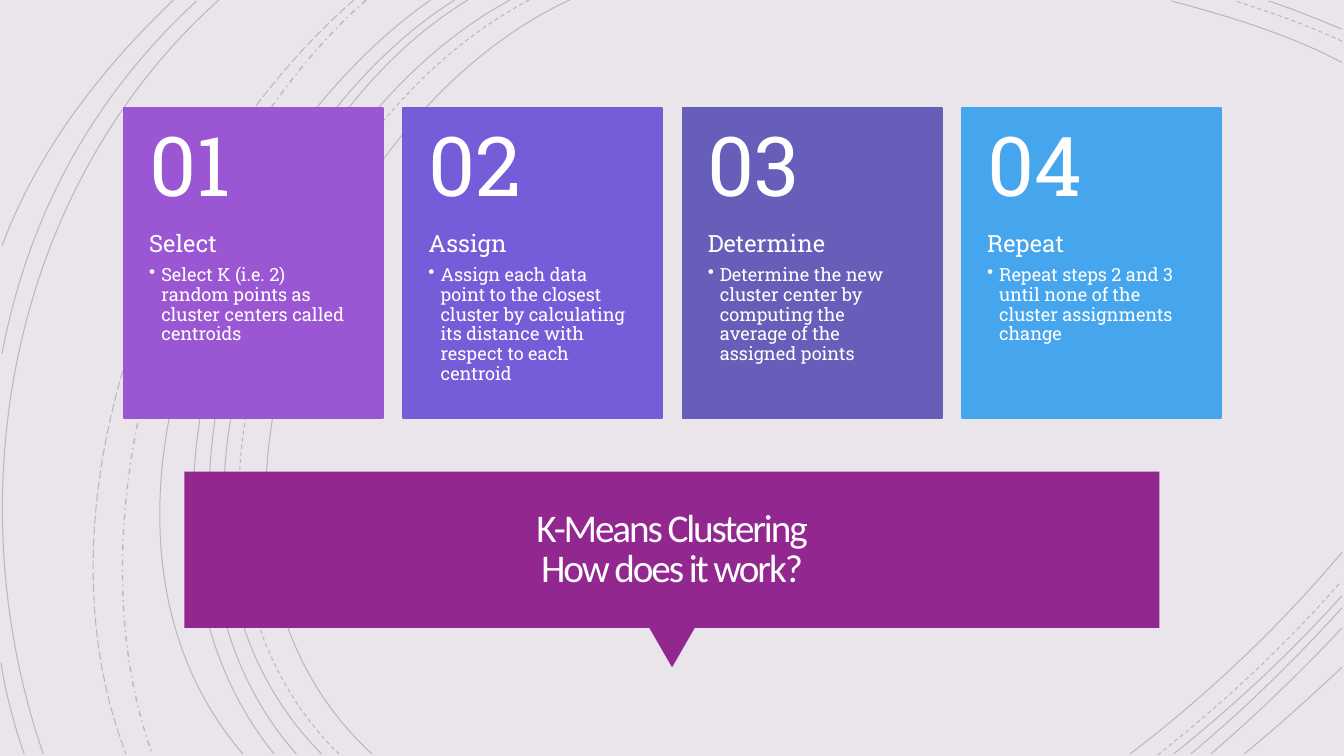
from copy import deepcopy

from lxml import etree
from pptx import Presentation
from pptx.dml.color import RGBColor
from pptx.enum.dml import MSO_LINE
from pptx.enum.shapes import MSO_SHAPE
from pptx.enum.text import MSO_ANCHOR, MSO_AUTO_SIZE, PP_ALIGN
from pptx.oxml.ns import qn
from pptx.util import Inches, Pt

RECTANGLE, TRIANGLE = MSO_SHAPE.RECTANGLE, MSO_SHAPE.ISOSCELES_TRIANGLE
SOLID, DASH = MSO_LINE.SOLID, MSO_LINE.DASH
DASH_DOT, LONG_DASH = MSO_LINE.DASH_DOT, MSO_LINE.LONG_DASH
TOP, MIDDLE = MSO_ANCHOR.TOP, MSO_ANCHOR.MIDDLE
LEFT, CENTER = PP_ALIGN.LEFT, PP_ALIGN.CENTER
NO_AUTOFIT = MSO_AUTO_SIZE.NONE
TITLE_ONLY = 5


def color(hex_value):
    return RGBColor.from_string(hex_value)


def write(box, insets, anchor, lines):
    """Fill a box with (text, paragraph format, font format, font colour) lines."""
    frame = box.text_frame
    frame.word_wrap = True
    frame.auto_size = NO_AUTOFIT
    frame.vertical_anchor = anchor
    for side, inset in zip(("left", "top", "right", "bottom"), insets):
        setattr(frame, f"margin_{side}", Inches(inset))
    for index, (text, para_format, font_format, font_color) in enumerate(lines):
        para = frame.add_paragraph() if index else frame.paragraphs[0]
        para.text = text
        for name, value in para_format.items():
            setattr(para, name, value)
        for span in para.runs:
            for name, value in font_format.items():
                setattr(span.font, name, value)
            span.font.color.rgb = color(font_color)
    return frame


deck = Presentation()
deck.slide_width, deck.slide_height = Inches(13.33), Inches(7.5)
page = deck.slides.add_slide(deck.slide_layouts[TITLE_ONLY])

# Backdrop
backdrop = page.shapes.add_shape(
    RECTANGLE, 0, 0, deck.slide_width, deck.slide_height)
backdrop.shadow.inherit = False
backdrop.line.fill.background()
for fill in (page.background.fill, backdrop.fill):
    fill.solid()
    fill.fore_color.rgb = color("EAE5EB")

# Background arcs: dash, width, then start, two control points and end
arcs = [
    (SOLID, 0.75, (5.65, 0), (3.15, 1.15), (1.43, 5.4), (3.69, 7.48)),
    (SOLID, 0.75, (13.31, 0.62), (12.78, 0.34), (12.18, 0.16), (11.62, 0.01)),
    (SOLID, 0.75, (11.21, 7.48), (11.97, 6.9), (12.69, 6.22), (13.31, 5.48)),
    (DASH, 0.75, (5.25, 0), (2.85, 1.25), (1.23, 5.37), (3.36, 7.48)),
    (DASH, 0.75, (13.31, 0.41), (12.97, 0.25), (12.6, 0.12), (12.25, 0.01)),
    (DASH, 0.75, (11.48, 7.49), (12.13, 6.98), (12.75, 6.4), (13.3, 5.77)),
    (SOLID, 0.75, (5.06, 0), (2.7, 1.27), (1.1, 5.37), (3.19, 7.48)),
    (SOLID, 0.75, (13.31, 0.29), (13.07, 0.19), (12.83, 0.09), (12.58, 0.01)),
    (SOLID, 0.75, (11.64, 7.48), (12.23, 7.01), (12.8, 6.48), (13.31, 5.91)),
    (SOLID, 0.75, (4.64, 0), (2.44, 1.33), (1.1, 5.41), (2.94, 7.48)),
    (SOLID, 0.75, (11.81, 7.48), (12.34, 7.04), (12.84, 6.55), (13.31, 6.03)),
    (SOLID, 0.75, (4.51, 0), (2.31, 1.38), (0.97, 5.33), (2.72, 7.48)),
    (SOLID, 0.75, (12.01, 7.48), (12.46, 7.09), (12.9, 6.67), (13.31, 6.23)),
    (SOLID, 0.75, (4.27, 0), (2.17, 1.47), (0.53, 5.29), (2.41, 7.48)),
    (SOLID, 0.75, (12.34, 7.48), (12.67, 7.21), (12.99, 6.92), (13.31, 6.62)),
    (DASH_DOT, 1, (3.63, 0), (1.76, 1.66), (0.65, 5.09), (1.51, 7.48)),
    (LONG_DASH, 0.75, (3.51, 0), (1.57, 1.69), (0.29, 4.99), (1.25, 7.48)),
    (SOLID, 0.75, (2.17, 0), (0.11, 1.85), (-0.46, 4.9), (0.43, 7.48)),
    (SOLID, 0.75, (1.95, 0.01), (0.92, 0.96), (0.28, 2.14), (0.02, 3.51)),
    (SOLID, 0.75, (0.01, 6.58), (0.06, 6.89), (0.14, 7.19), (0.24, 7.48)),
    (SOLID, 0.75, (1.72, 0), (1, 0.69), (0.37, 1.5), (0.02, 2.44)),
]
for dash, width, *points in arcs:
    start, *others = [(Inches(x), Inches(y)) for x, y in points]
    builder = page.shapes.build_freeform(*start)
    builder.add_line_segments(others, close=False)
    arc = builder.convert_to_shape()
    arc.shadow.inherit = False
    arc.fill.background()
    arc.line.width = Pt(width)
    arc.line.dash_style = dash
    arc.line.color.rgb = color("000000")
    # Turn the three straight segments into one Bézier curve
    segments = list(arc._element.iter(qn("a:lnTo")))
    outline = segments[0].getparent()
    curve = etree.SubElement(outline, qn("a:cubicBezTo"))
    for segment in segments:
        curve.append(segment[0])
        outline.remove(segment)
    # Make the line 20% opaque
    line_color = next(arc.line._ln.iter(qn("a:srgbClr")))
    etree.SubElement(line_color, qn("a:alpha"), val="20000")

# Title banner with its pointer
banner_parts = [
    (TRIANGLE, 6.44, 6.23, 0.45, 0.39, 180),
    (RECTANGLE, 1.83, 4.68, 9.67, 1.55, 0),
]
for kind, left, top, width, height, rotation in banner_parts:
    part = page.shapes.add_shape(
        kind, Inches(left), Inches(top), Inches(width), Inches(height))
    part.rotation = rotation
    part.shadow.inherit = False
    part.fill.solid()
    part.fill.fore_color.rgb = color("92278F")
    part.line.fill.background()

title = page.shapes.title
title.left, title.top = Inches(1.92), Inches(4.78)
title.width, title.height = Inches(9.49), Inches(1.37)
title_frame = write(title, (0.25,) * 4, MIDDLE, [
    ("K-Means Clustering\vHow does it work?",
     {"alignment": CENTER, "line_spacing": 0.85},
     {"name": "Calibri", "size": Pt(28)}, "FFFEFF"),
])
# Tighten the letters and give the line break the same format
title_para = title_frame.paragraphs[0]
for span in title_para.runs:
    span.font._element.set("spc", "-150")
line_break = title_para._p.find(qn("a:br"))
line_break.insert(0, deepcopy(title_para.runs[0].font._element))
page.shapes._spTree.append(title._element)  # in front of the banner

# Step cards
cards = [
    ("9B57D3", "Select",
     "Select K (i.e. 2) random points as cluster centers called centroids"),
    ("755DD9", "Assign",
     "Assign each data point to the closest cluster by calculating its "
     "distance with respect to each centroid"),
    ("665EB8", "Determine",
     "Determine the new cluster center by computing the average of the "
     "assigned points"),
    ("45A5ED", "Repeat",
     "Repeat steps 2 and 3 until none of the cluster assignments change"),
]
card_top, card_width, number_height, step_height = 1.07, 2.57, 1.23, 1.85
number_font, heading_font, step_font = [
    {"name": "Roboto Slab", "size": Pt(size)} for size in (59, 17, 13)]
for index, (card_color, heading, step) in enumerate(cards):
    left, width = Inches(1.23 + 2.77 * index), Inches(card_width)
    card = page.shapes.add_shape(RECTANGLE, left, Inches(card_top), width,
                                 Inches(number_height + step_height))
    card.shadow.inherit = False
    card.fill.solid()
    card.fill.fore_color.rgb = color(card_color)
    card.line.color.rgb = color(card_color)
    card.line.width = Pt(1.25)

    step_box = page.shapes.add_textbox(
        left, Inches(card_top + number_height), width, Inches(step_height))
    step_frame = write(step_box, (0.25, 0, 0.28, 0.36), TOP, [
        (heading, {"alignment": LEFT, "line_spacing": 0.9,
                   "space_after": Pt(6)}, heading_font, "FFFFFF"),
        (step, {"alignment": LEFT, "line_spacing": 0.9, "level": 1},
         step_font, "FFFFFF"),
    ])
    bullet_format = step_frame.paragraphs[1]._p.get_or_add_pPr()
    bullet_format.set("marL", str(Inches(0.12)))
    bullet_format.set("indent", str(Inches(-0.12)))
    etree.SubElement(bullet_format, qn("a:buChar"), char="•")

    number_box = page.shapes.add_textbox(
        left, Inches(card_top), width, Inches(number_height))
    write(number_box, (0.25, 0.18, 0.25, 0.18), MIDDLE, [
        (f"{index + 1:02d}", {"alignment": LEFT, "line_spacing": 0.9},
         number_font, "FFFFFF"),
    ])

deck.save("out.pptx")
